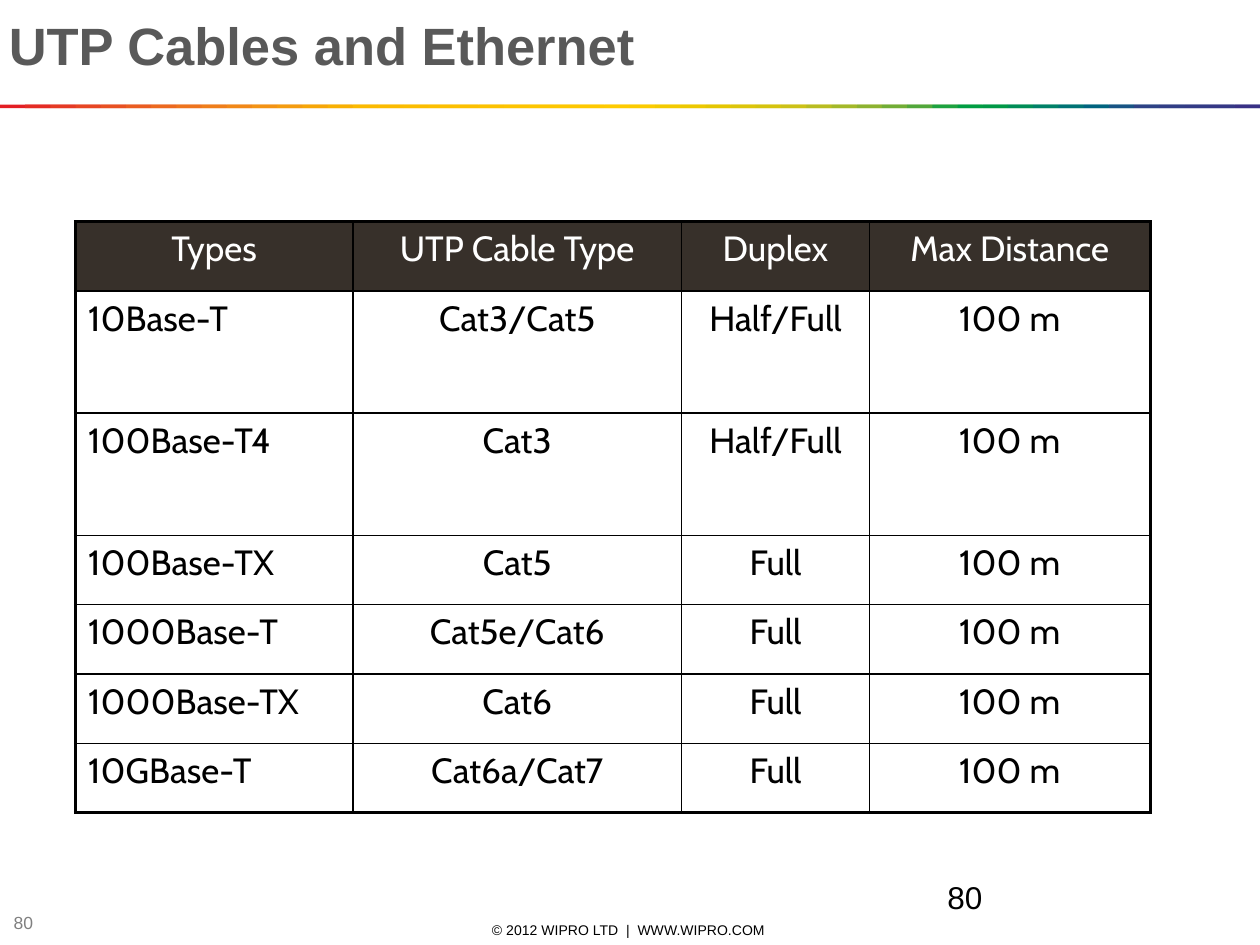
from lxml import etree
from pptx import Presentation
from pptx import util as u
from pptx.dml import color
from pptx.enum import shapes, text
from pptx.oxml import ns

THEME = {
    "black": "000000", "white": "FFFFFF", "title": "595959",
    "muted": "808080", "header": "37302A",
    "title_size": 30, "cell_size": 20, "page_size": 18,
    "number_size": 10, "footer_size": 8,
    "font": "Arial", "table_font": "Cabin",
    "outer_line": 2.25, "inner_line": 1,
    "rainbow": """
        E31E24 E42C24 E53A24 E74623 E85122 EA5D21 EC691F EE741D EF7E1A F18817
        F39314 F49C0F F6A607 F8B002 FBBA00 FBBB00 FBBD00 FCBF00 FCC000 FCC200
        FDC400 FDC600 FDC700 FEC900 FECB00 FBCB00 F3CA00 ECC800 E4C602 DCC50A
        D5C30E CCC117 B8BC21 A3B829 8CB230 71AD36 51A73B 1DA240 009D43 009846
        008C57 008068 007275 00637F 185384 2E4285 313E85 333B85 353885 393185
    """.split(),
}


def style(paragraph, font, size, rgb, align, bold=False):
    paragraph.alignment = align
    paragraph.font.name = font
    paragraph.font.size = u.Pt(size)
    paragraph.font.bold = bold
    paragraph.font.color.rgb = color.RGBColor.from_string(rgb)


def add_border(cell, side, width):
    properties = cell._tc.get_or_add_tcPr()
    line = etree.SubElement(properties, ns.qn(f"a:ln{side}"), w=str(u.Pt(width)))
    fill = etree.SubElement(line, ns.qn("a:solidFill"))
    etree.SubElement(fill, ns.qn("a:srgbClr"), val=THEME["black"])


presentation = Presentation()
presentation.slide_width = u.Inches(10)
presentation.slide_height = u.Inches(7.5)
slide = presentation.slides.add_slide(presentation.slide_layouts[6])
left, center = text.PP_ALIGN.LEFT, text.PP_ALIGN.CENTER
top, middle = text.MSO_ANCHOR.TOP, text.MSO_ANCHOR.MIDDLE

rainbow = slide.shapes.add_group_shape()
step = 0.2
for index, rgb in enumerate(THEME["rainbow"]):
    start = index * step
    stripe = rainbow.shapes.add_shape(
        shapes.MSO_SHAPE.RECTANGLE, u.Inches(start), u.Inches(0.83),
        u.Inches(min(2 * step, 10 - start)), u.Inches(0.03))
    stripe.shadow.inherit = False
    stripe.fill.solid()
    stripe.fill.fore_color.rgb = color.RGBColor.from_string(rgb)
    stripe.line.fill.background()

labels = [
    ("© 2012 WIPRO LTD  |  WWW.WIPRO.COM ", (3.42, 7.3, 3.17, 0.16), (0, 0),
     "footer_size", "black", center, middle, False),
    ("80", (0.01, 7.22, 0.75, 0.21), (0.1, 0),
     "number_size", "muted", left, middle, False),
    ("80", (7.42, 6.92, 2.08, 0.5), (0.1, 0.05),
     "page_size", "black", left, top, False),
    ("UTP Cables and Ethernet", (0, 0, 8.52, 1.25), (0.07, 0.1),
     "title_size", "title", left, top, True),
]
for wording, place, (inset_x, inset_y), size, rgb, align, anchor, bold in labels:
    box = slide.shapes.add_textbox(*map(u.Inches, place))
    frame = box.text_frame
    frame.word_wrap = True
    frame.vertical_anchor = anchor
    frame.margin_left = frame.margin_right = u.Inches(inset_x)
    frame.margin_top = frame.margin_bottom = u.Inches(inset_y)
    frame.text = wording
    style(frame.paragraphs[0], THEME["font"], THEME[size], THEME[rgb], align, bold)

rows = [
    ("Types", "UTP Cable Type", "Duplex", "Max Distance"),
    ("10Base-T", "Cat3/Cat5", "Half/Full", "100 m"),
    ("100Base-T4", "Cat3", "Half/Full", "100 m"),
    ("100Base-TX", "Cat5", "Full", "100 m"),
    ("1000Base-T", "Cat5e/Cat6", "Full", "100 m"),
    ("1000Base-TX", "Cat6", "Full", "100 m"),
    ("10GBase-T", "Cat6a/Cat7", "Full", "100 m"),
]
widths = [2.2, 2.61, 1.49, 2.23]
heights = [0.55, 0.97, 0.97, 0.55, 0.55, 0.55, 0.55]
table = slide.shapes.add_table(
    len(rows), len(widths), u.Inches(0.6), u.Inches(1.76),
    u.Inches(sum(widths)), u.Inches(sum(heights))).table
table.horz_banding = False
for column, width in zip(table.columns, widths):
    column.width = u.Inches(width)
for row, height in zip(table.rows, heights):
    row.height = u.Inches(height)

for row_index, row in enumerate(rows):
    for column_index, wording in enumerate(row):
        cell = table.cell(row_index, column_index)
        outer_sides = {
            "L": column_index == 0, "R": column_index == len(widths) - 1,
            "T": row_index == 0, "B": row_index == len(rows) - 1,
        }
        for side, is_outer in outer_sides.items():
            add_border(cell, side, THEME["outer_line" if is_outer else "inner_line"])
        is_header = row_index == 0
        if is_header:
            cell.fill.solid()
            cell.fill.fore_color.rgb = color.RGBColor.from_string(THEME["header"])
        else:
            cell.fill.background()
        cell.text = wording
        style(cell.text_frame.paragraphs[0], THEME["table_font"], THEME["cell_size"],
              THEME["white" if is_header else "black"],
              center if is_header or column_index else left)

presentation.save("out.pptx")
